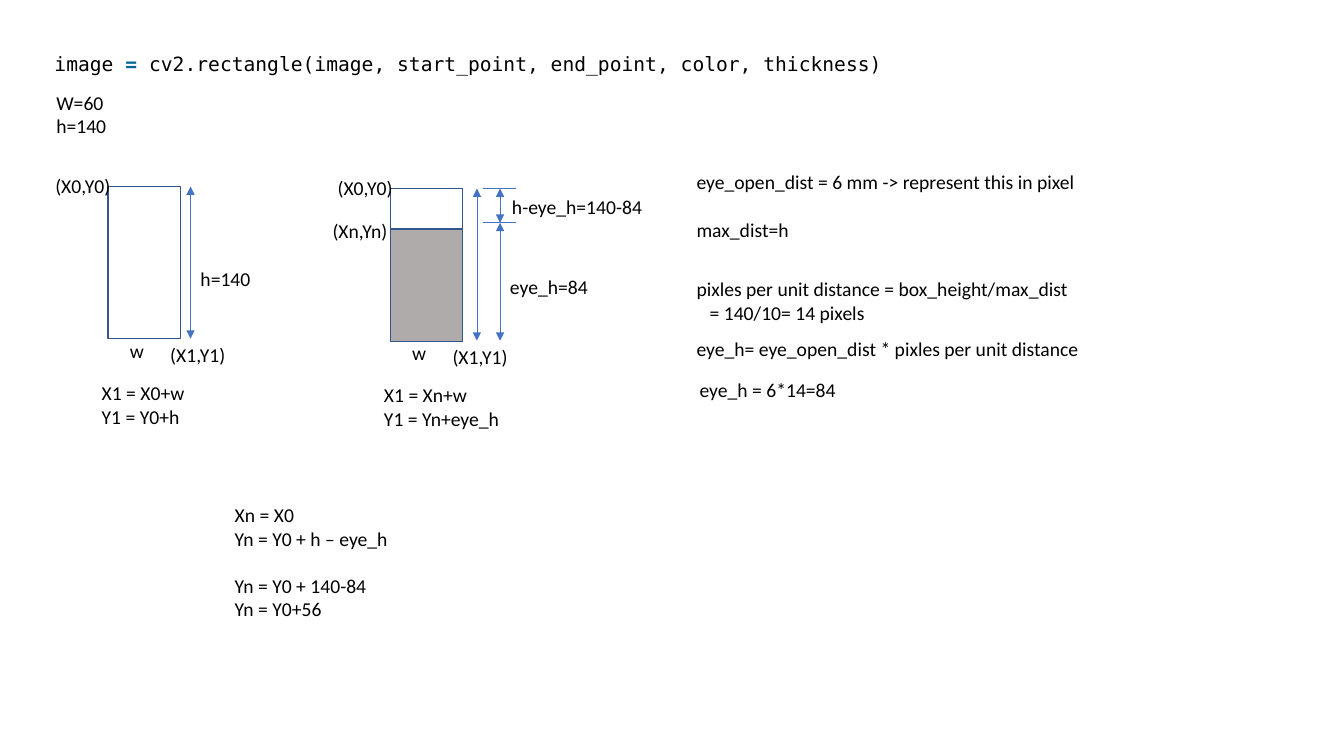
from dataclasses import dataclass

from lxml.etree import SubElement
from pptx import Presentation
from pptx.dml.color import RGBColor
from pptx.enum.shapes import MSO_CONNECTOR, MSO_SHAPE
from pptx.enum.text import MSO_ANCHOR, MSO_AUTO_SIZE, PP_ALIGN
from pptx.oxml.ns import qn
from pptx.util import Inches, Pt


@dataclass(frozen=True)
class Theme:
    """Colours, fonts and sizes of the slide."""
    text: RGBColor = RGBColor(0x00, 0x00, 0x00)
    operator: RGBColor = RGBColor(0x00, 0x66, 0x99)
    outline: RGBColor = RGBColor(0x32, 0x54, 0x91)
    arrow: RGBColor = RGBColor(0x44, 0x72, 0xC4)
    eye: RGBColor = RGBColor(0xAF, 0xAB, 0xAB)
    font: str = "Calibri"
    code_font: str = "DejaVu Sans Mono"
    size: Pt = Pt(14)
    outline_width: Pt = Pt(1)
    arrow_width: Pt = Pt(0.5)


THEME = Theme()
LINE = Pt(17)  # height of one line of text
BOX_W, BOX_H = 0.72, 1.51


def add_run(p, text, font=THEME.font, color=THEME.text, bold=False):
    """Append one formatted run to a paragraph."""
    r = p.add_run()
    r.text = text
    r.font.name = font
    r.font.size = THEME.size
    r.font.bold = bold
    r.font.color.rgb = color


def add_text(s, x, y, w, *lines):
    """Add a text box with one paragraph per line and return its paragraphs."""
    h = 0.1 + 0.235 * len(lines)
    tf = s.shapes.add_textbox(Inches(x), Inches(y), Inches(w), Inches(h)).text_frame
    tf.word_wrap = True
    tf.auto_size = MSO_AUTO_SIZE.SHAPE_TO_FIT_TEXT
    for i, line in enumerate(lines):
        p = tf.add_paragraph() if i else tf.paragraphs[0]
        add_run(p, line)
    return tf.paragraphs


def add_box(s, x, y, h, fill=None):
    """Add an outlined rectangle, filled or hollow."""
    sp = s.shapes.add_shape(MSO_SHAPE.RECTANGLE, Inches(x), Inches(y),
                            Inches(BOX_W), Inches(h))
    sp.shadow.inherit = False
    if fill is None:
        sp.fill.background()
    else:
        sp.fill.solid()
        sp.fill.fore_color.rgb = fill
    sp.line.color.rgb = THEME.outline
    sp.line.width = THEME.outline_width


def add_line(s, x1, y1, x2, y2, arrows=False):
    """Add a thin line, with an arrowhead at both ends if wanted."""
    cn = s.shapes.add_connector(MSO_CONNECTOR.STRAIGHT, Inches(x1), Inches(y1),
                                Inches(x2), Inches(y2))
    cn.line.color.rgb = THEME.arrow
    cn.line.width = THEME.arrow_width
    if arrows:
        ln = cn.line._get_or_add_ln()
        for end in ("a:headEnd", "a:tailEnd"):
            SubElement(ln, qn(end), type="triangle")
    SubElement(cn._element.spPr, qn("a:effectLst"))


def add_dimension(s, x, top, bottom):
    """Add a vertical double-headed dimension arrow."""
    add_line(s, x, top, x, bottom, arrows=True)


def add_diagram(s, x, y, arrow_gap, *equations):
    """Add a box with corner labels, height arrow and equations below."""
    add_box(s, x, y, BOX_H)
    add_dimension(s, x + BOX_W + arrow_gap, y, y + BOX_H)
    add_text(s, x - 0.62, y - 0.17, 0.94, "(X0,Y0)")
    add_text(s, x + 0.52, y + 1.5, 0.94, "(X1,Y1)")
    add_text(s, x + 0.12, y + 1.46, 0.41, "w")
    add_text(s, x - 0.16, y + 1.88, 1.39, *equations)


def add_title(s):
    """Set the function call as the slide title."""
    sp = s.shapes.title
    sp.left, sp.top = Inches(0.54), Inches(0.51)
    sp.width, sp.height = Inches(8.5), Inches(0.24)
    tf = sp.text_frame
    tf.margin_left = tf.margin_right = tf.margin_top = tf.margin_bottom = 0
    tf.vertical_anchor = MSO_ANCHOR.MIDDLE
    tf.auto_size = MSO_AUTO_SIZE.NONE
    tf.word_wrap = True
    p = tf.paragraphs[0]
    p.alignment = PP_ALIGN.LEFT
    add_run(p, "image ", THEME.code_font)
    add_run(p, "= ", THEME.code_font, THEME.operator, bold=True)
    add_run(p, "cv2.rectangle(image, start_point, end_point, color, thickness)",
            THEME.code_font)


def add_eye_diagram(s):
    """Add the second diagram, whose lower part shows the eye opening."""
    x, top, split = 3.87, 1.87, 2.21
    bottom = top + BOX_H
    add_diagram(s, x, top, 0.14, "X1 = Xn+w", "Y1 = Yn+eye_h")
    add_box(s, x, 2.27, 1.12, THEME.eye)
    add_text(s, 3.2, 2.12, 0.94, "(Xn,Yn)")
    for y in (top, split):
        add_line(s, 4.79, y, 5.12, y)
    add_dimension(s, 4.96, top, split)
    add_dimension(s, 4.96, split, bottom)
    add_text(s, 4.98, 1.88, 1.6, "h-eye_h=140-84")
    add_text(s, 4.96, 2.68, 1.26, "eye_h=84")


def add_calculation(s):
    """Add the conversion from millimetres to pixels."""
    x, w = 6.81, 5.12
    add_text(s, x, 1.64, w, "eye_open_dist = 6 mm -> represent this in pixel")
    add_text(s, x, 2.11, w, "max_dist=h")
    ratio = add_text(s, x, 2.7, w, "pixles per unit distance = box_height/max_dist",
                     "= 140/10= 14 pixels")
    ratio[1]._p.get_or_add_pPr().set("marL", str(Inches(0.13)))
    add_text(s, x, 3.29, w, "eye_h= eye_open_dist * pixles per unit distance")
    add_text(s, 6.84, 3.7, w, "eye_h = 6*14=84")


def main():
    """Build and save the slide."""
    prs = Presentation()
    prs.slide_width, prs.slide_height = Inches(13.33), Inches(7.5)
    s = prs.slides.add_slide(prs.slide_layouts[5])
    add_title(s)
    add_text(s, 0.46, 0.85, 1.12, "W=60", "h=140")
    add_diagram(s, 1.07, 1.85, 0.1, "X1 = X0+w", "Y1 = Y0+h")
    add_text(s, 1.89, 2.6, 0.74, "h=140")
    add_eye_diagram(s)
    add_calculation(s)
    steps = add_text(s, 2.23, 4.94, 3.64, "Xn = X0", "Yn = Y0 + h – eye_h",
                     "Yn = Y0 + 140-84", "Yn = Y0+56")
    steps[2].space_before = LINE
    prs.save("out.pptx")


main()
